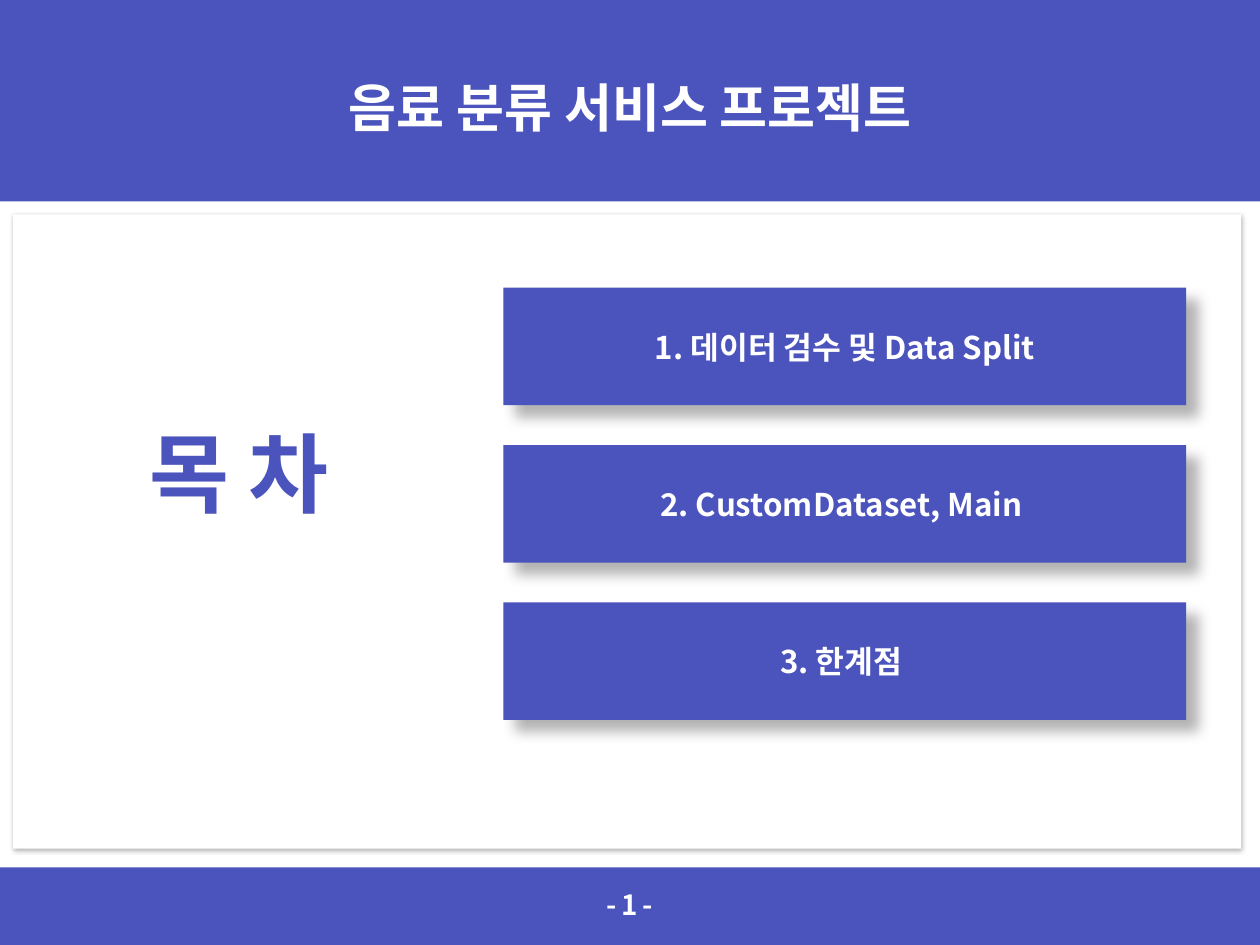
"""Build the table-of-contents slide of the drink classification project."""
from lxml.etree import SubElement
from pptx import Presentation
from pptx.dml.color import RGBColor
from pptx.enum.shapes import MSO_SHAPE as SHAPE
from pptx.enum.text import MSO_ANCHOR as ANCHOR, PP_ALIGN as ALIGN
from pptx.oxml.ns import qn
from pptx.util import Pt

TITLE = "음료 분류 서비스 프로젝트"
HEADING = "목 차"
TOPICS = ["1. 데이터 검수 및 Data Split", "2. CustomDataset, Main ", "3. 한계점 "]
PAGE = "- 1 -"

FONT = "Noto Sans CJK KR"
COLORS = {"indigo": "4B53BC", "white": "FFFFFF", "shadow": "000000"}
WIDTH, HEIGHT = 1450.8, 1087.92
HEADER_HEIGHT, FOOTER_HEIGHT = 231.84, 89.28
TOPIC_LEFT, TOPIC_TOP, TOPIC_WIDTH, TOPIC_HEIGHT = 579.6, 331.2, 786.24, 135.36
TOPIC_STEP = 181.1
PANEL_SHADOW = {"blur": 4.5, "distance": 2.6, "angle": 53}
TOPIC_SHADOW = {"blur": 15, "distance": 18, "angle": 45}


def add_shadow(block, blur, distance, angle):
    effects = block._element.spPr.find(qn("a:effectLst"))
    outer = SubElement(effects, qn("a:outerShdw"), blurRad=str(Pt(blur)),
                       dist=str(Pt(distance)), dir=str(angle * 60000),
                       algn="tl", rotWithShape="0")
    color = SubElement(outer, qn("a:srgbClr"), val=COLORS["shadow"])
    SubElement(color, qn("a:alpha"), val="30000")


def add_block(slide, box, color="indigo", shadow=None):
    block = slide.shapes.add_shape(SHAPE.RECTANGLE, *map(Pt, box))
    block.shadow.inherit = False
    block.fill.solid()
    block.fill.fore_color.rgb = RGBColor.from_string(COLORS[color])
    block.line.fill.background()
    if shadow:
        add_shadow(block, **shadow)
    return block


def write(holder, text, size, color="white", align=ALIGN.CENTER,
          anchor=ANCHOR.MIDDLE, line_spacing=None, tracking=None):
    frame = holder.text_frame
    frame.word_wrap = True
    frame.vertical_anchor = anchor
    paragraph = frame.paragraphs[0]
    paragraph.alignment = align
    paragraph.line_spacing = line_spacing
    run = paragraph.add_run()
    run.text = text
    run.font.size = Pt(size)
    run.font.bold = True
    run.font.name = FONT
    run.font.color.rgb = RGBColor.from_string(COLORS[color])
    properties = run.font._element
    SubElement(properties, qn("a:ea"), typeface=FONT)
    if tracking:
        properties.set("spc", str(tracking * 100))


def add_label(slide, box, text, size, **text_format):
    write(slide.shapes.add_textbox(*map(Pt, box)), text, size, **text_format)


def main():
    deck = Presentation()
    deck.slide_width, deck.slide_height = Pt(WIDTH), Pt(HEIGHT)
    slide = deck.slides.add_slide(deck.slide_layouts[6])

    add_block(slide, (0, HEIGHT - FOOTER_HEIGHT, WIDTH, FOOTER_HEIGHT))
    add_block(slide, (0, 0, WIDTH, HEADER_HEIGHT))
    add_block(slide, (15.12, 246.96, 1414.08, 730.08), "white", PANEL_SHADOW)

    add_label(slide, (196.56, 71.28, 1058.4, 111.6), TITLE, 60, line_spacing=0.9)
    add_label(slide, (164.88, 479.52, 259.2, 128.16), HEADING, 100,
              color="indigo", align=ALIGN.LEFT, anchor=ANCHOR.TOP)
    add_label(slide, (588.96, 1023.12, 272.16, 35.28), PAGE, 32,
              anchor=ANCHOR.TOP, line_spacing=0.9, tracking=-1)

    for row, topic in enumerate(TOPICS):
        box = (TOPIC_LEFT, TOPIC_TOP + row * TOPIC_STEP, TOPIC_WIDTH, TOPIC_HEIGHT)
        write(add_block(slide, box, shadow=TOPIC_SHADOW), topic, 36)

    deck.save("out.pptx")


if __name__ == "__main__":
    main()
